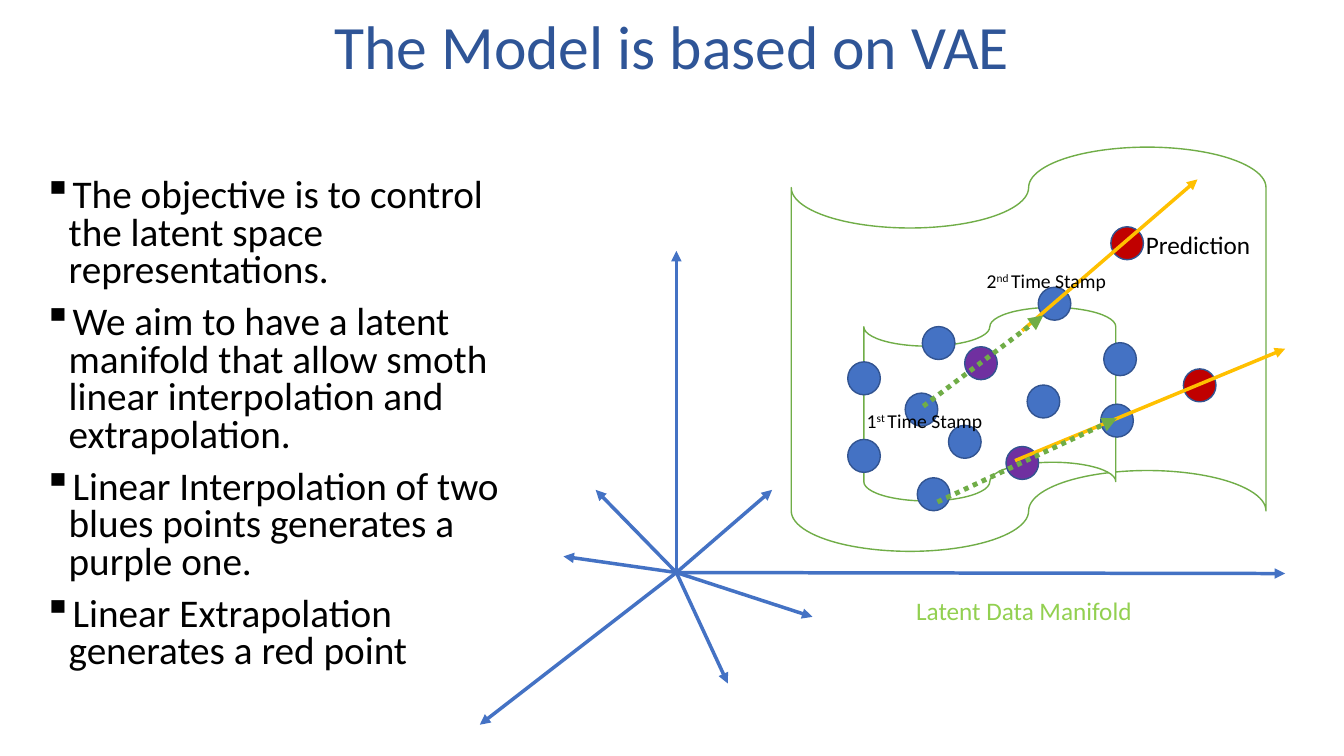
import pptx
import pptx.util
import pptx.dml.color
import pptx.enum.dml
import pptx.enum.shapes
import pptx.enum.text
import pptx.oxml
import pptx.oxml.ns

SLIDE_WIDTH = pptx.util.Inches(13.33)
SLIDE_HEIGHT = pptx.util.Inches(7.5)
COLUMN = SLIDE_WIDTH / 40
ROW = SLIDE_HEIGHT / 22.5

COLORS = {
    "title": "2F5597", "text": "000000", "caption": "92D050", "paper": "FFFFFF",
    "blue": "4472C4", "purple": "7030A0", "red": "C00000", "outline": "325491",
    "green": "70AD47", "orange": "FFC000",
}
POINT_SIZE = (0.97, 0.98)
TITLE_BOX = (2.76, 0.21, 34.5, 2.55)
BODY_BOX = (1, 3.27, 14.82, 18.3)
DIAGRAM_BOX = (14, 4, 25, 18)

BULLETS = [
    "The objective is to control the latent space representations.",
    "We aim to have a latent manifold that allow smoth linear interpolation and extrapolation.",
    "Linear Interpolation of two blues points generates a purple one.",
    "Linear Extrapolation generates a red point",
]
AXIS_ORIGIN = (6.13, 13.04)
AXIS_ENDS = [
    (6.13, 3.47), (24.25, 13.07), (0.28, 17.57), (10.18, 14.36),
    (8.98, 10.58), (7.66, 16.34), (3.73, 10.58), (2.77, 12.56),
]
MANIFOLDS = [(9.55, 0.38, 14.13, 12.03), (11.71, 5.15, 7.5, 5.76)]
POINTS = {
    "blue": [
        (11.23, 6.77), (11.23, 9.08), (13.3, 10.22), (18.76, 8.03), (18.85, 6.2),
        (13.45, 5.72), (16.9, 4.55), (12.94, 7.7), (14.23, 8.66), (16.57, 7.46),
    ],
    "purple": [(15.94, 9.29), (14.71, 6.32)],
    "red": [(21.22, 6.98), (19.06, 2.75)],
}
EXTRAPOLATIONS = [((16.21, 9.71), (24.25, 6.38)), ((16.42, 5.84), (21.64, 1.34))]
INTERPOLATIONS = [((13.48, 8.09), (17.05, 5.39)), ((13.9, 10.94), (19.24, 8.45))]
LABELS = [
    ((12.97, 13.58, 7.11, 1.2), ["Latent Data Manifold"], 18, "caption"),
    ((11.5, 8.03, 4.11, 1.02), ["1", "st ", "Time Stamp"], 14, "text"),
    ((15.07, 3.86, 4.26, 1.02), ["2", "nd ", "Time Stamp"], 14, "text"),
    ((19.81, 2.69, 3.75, 1.2), ["Prediction"], 18, "text"),
]


def color(name):
    return pptx.dml.color.RGBColor.from_string(COLORS[name])


def place(box, x, y):
    return round((box[0] + x) * COLUMN), round((box[1] + y) * ROW)


def extent(width, height):
    return round(width * COLUMN), round(height * ROW)


def add_child(parent, tag, **attributes):
    child = pptx.oxml.parse_xml(f"<a:{tag} {pptx.oxml.ns.nsdecls('a')}/>")
    for name, value in attributes.items():
        child.set(name, value)
    parent.append(child)


def write(paragraph, text, size=18, fill="text", raised=False):
    run = paragraph.add_run()
    run.text = text
    run.font.name = "Calibri"
    run.font.size = pptx.util.Pt(size)
    run.font.color.rgb = color(fill)
    if raised:
        run.font._element.set("baseline", "30000")


def add_frame(slide, box, area, wrap=True):
    left, top, width, height = area
    shape = slide.shapes.add_textbox(*place(box, left, top), *extent(width, height))
    shape.text_frame.word_wrap = wrap
    return shape.text_frame


def add_arrow(slide, box, start, end, fill, width=2.5, dash=None):
    connector = slide.shapes.add_connector(
        pptx.enum.shapes.MSO_CONNECTOR.STRAIGHT, *place(box, *start), *place(box, *end))
    connector.line.color.rgb = color(fill)
    connector.line.width = pptx.util.Pt(width)
    if dash:
        connector.line.dash_style = dash
    add_child(connector.line._get_or_add_ln(), "tailEnd", type="triangle")
    add_child(connector._element.spPr, "effectLst")


def add_figure(slide, box, preset, area, fill, outline):
    left, top, width, height = area
    shape = slide.shapes.add_shape(preset, *place(box, left, top), *extent(width, height))
    shape.shadow.inherit = False
    shape.fill.solid()
    shape.fill.fore_color.rgb = color(fill)
    shape.line.color.rgb = color(outline)
    shape.line.width = pptx.util.Pt(1)


def add_title(slide, box):
    frame = add_frame(slide, box, (0, 0, box[2], box[3]))
    frame.vertical_anchor = pptx.enum.text.MSO_ANCHOR.MIDDLE
    paragraph = frame.paragraphs[0]
    paragraph.alignment = pptx.enum.text.PP_ALIGN.CENTER
    paragraph.line_spacing = 0.9
    write(paragraph, "The Model is based on VAE", size=44, fill="title")


def add_body(slide, box):
    frame = add_frame(slide, box, (0, 0, box[2], box[3]))
    frame.margin_top = round(2.04 * ROW)
    indent = pptx.util.Inches(0.25)
    for index, text in enumerate(BULLETS):
        paragraph = frame.add_paragraph() if index else frame.paragraphs[0]
        paragraph.line_spacing = 0.8
        paragraph.space_before = pptx.util.Pt(10 if index else 0)
        properties = paragraph._p.get_or_add_pPr()
        properties.set("marL", str(indent))
        properties.set("indent", str(-indent))
        add_child(properties, "buChar", char="▪")
        write(paragraph, text, size=28)


def add_diagram(slide, box):
    presets = pptx.enum.shapes.MSO_SHAPE
    for end in AXIS_ENDS:
        add_arrow(slide, box, AXIS_ORIGIN, end, "blue")
    for area in MANIFOLDS:
        add_figure(slide, box, presets.FLOWCHART_PUNCHED_TAPE, area, "paper", "green")
    for fill, corners in POINTS.items():
        for corner in corners:
            add_figure(slide, box, presets.OVAL, corner + POINT_SIZE, fill, "outline")
    for start, end in EXTRAPOLATIONS:
        add_arrow(slide, box, start, end, "orange")
    for start, end in INTERPOLATIONS:
        add_arrow(slide, box, start, end, "green", width=3.5,
                  dash=pptx.enum.dml.MSO_LINE.ROUND_DOT)
    for area, parts, size, fill in LABELS:
        paragraph = add_frame(slide, box, area, wrap=False).paragraphs[0]
        for index, text in enumerate(parts):
            write(paragraph, text, size=size, fill=fill, raised=index == 1)


def main():
    presentation = pptx.Presentation()
    presentation.slide_width = SLIDE_WIDTH
    presentation.slide_height = SLIDE_HEIGHT
    slide = presentation.slides.add_slide(presentation.slide_layouts[6])
    add_title(slide, TITLE_BOX)
    add_diagram(slide, DIAGRAM_BOX)
    add_body(slide, BODY_BOX)
    presentation.save("out.pptx")


if __name__ == "__main__":
    main()
